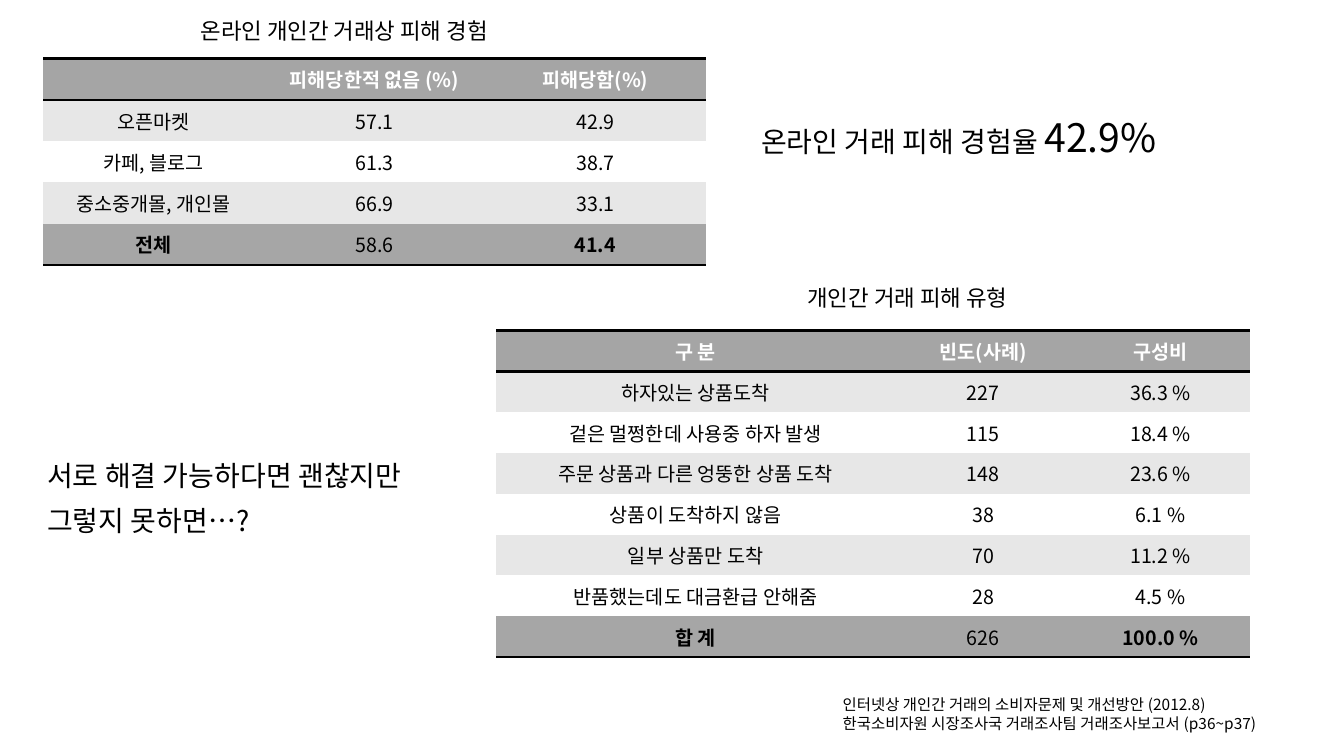
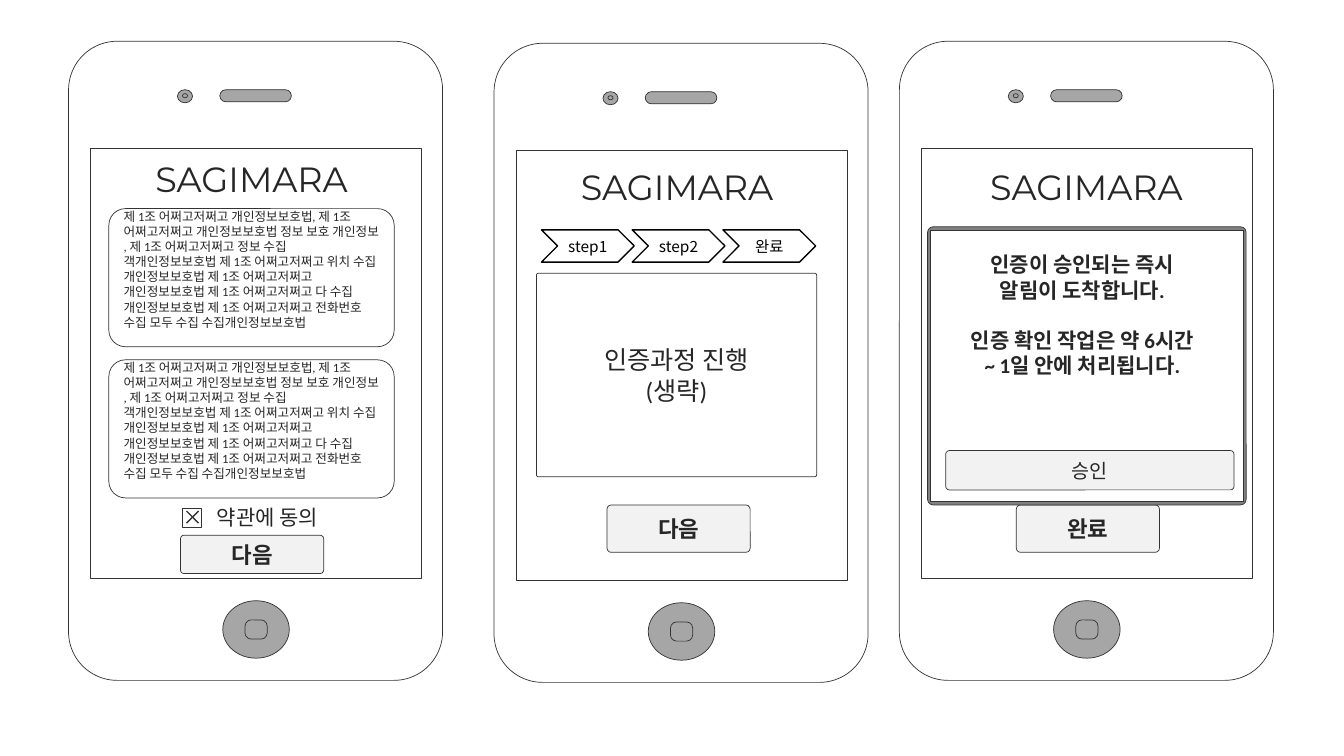
from lxml import etree
from pptx import Presentation
from pptx.dml import color as dml
from pptx.enum import shapes as kinds, text as txt
from pptx.oxml import ns
from pptx.util import Inches, Pt

# Shared style
NOTO, CALIBRI, MONTSERRAT = "Noto Sans CJK KR", "Calibri", "Montserrat"
BLACK, WHITE, INK, OUTLINE = "000000", "FFFFFF", "262626", "333333"
HEADER, TOTAL, STRIPE, METAL = "A5A5A5", "A6A6A6", "E7E7E7", "A6A6A6"
BUTTON, FRAME = "F2F2F2", "808080"
NO_STYLE = "{2D5ABB26-0587-4C30-8999-92F81FD0307C}"
ROUND = kinds.MSO_SHAPE.ROUNDED_RECTANGLE
RECT = kinds.MSO_SHAPE.RECTANGLE
OVAL = kinds.MSO_SHAPE.OVAL
CHEVRON = kinds.MSO_SHAPE.CHEVRON
LEFT, CENTER = txt.PP_ALIGN.LEFT, txt.PP_ALIGN.CENTER
TOP, MIDDLE, BOTTOM = (txt.MSO_ANCHOR.TOP, txt.MSO_ANCHOR.MIDDLE,
                       txt.MSO_ANCHOR.BOTTOM)
DEFAULT_INSETS = (0.1, 0.05, 0.1, 0.05)
APP_INSETS = (0.08, 0.04, 0.08, 0.04)

# Content: survey slide
TABLES = [
    {"at": (0.43, 0.58), "cols": (2.19, 2.19, 2.19), "row": 0.41, "rows": [
        ("", "피해당한적 없음 (%)", "피해당함(%)"),
        ("오픈마켓", "57.1", "42.9"),
        ("카페, 블로그", "61.3", "38.7"),
        ("중소중개몰, 개인몰", "66.9", "33.1"),
        ("전체", "58.6", "41.4")]},
    {"at": (4.92, 3.28), "cols": (3.96, 1.74, 1.78), "row": 0.405, "rows": [
        ("구 분", "빈도(사례)", "구성비"),
        ("하자있는 상품도착", "227", "36.3 %"),
        ("겉은 멀쩡한데 사용중 하자 발생", "115", "18.4 %"),
        ("주문 상품과 다른 엉뚱한 상품 도착", "148", "23.6 %"),
        ("상품이 도착하지 않음", "38", "6.1 %"),
        ("일부 상품만 도착", "70", "11.2 %"),
        ("반품했는데도 대금환급 안해줌", "28", "4.5 %"),
        ("합 계", "626", "100.0 %")]},
]
CAPTIONS = [
    ((1.89, 0.12, 3.19, 0.37), 16, ["온라인 개인간 거래상 피해 경험"]),
    ((7.91, 2.77, 2.28, 0.37), 16, ["개인간 거래 피해 유형"]),
    ((8.26, 6.85, 4.5, 0.47), 11, [
        "인터넷상 개인간 거래의 소비자문제 및 개선방안 (2012.8)",
        "한국소비자원 시장조사국 거래조사팀 거래조사보고서 (p36~p37)"]),
]
MESSAGES = [
    ((7.45, 1.13, 5.5, 1.22), [[("온라인 거래 피해 경험율 ", 20), ("42.9%", 28)]]),
    ((0.37, 4.54, 5.5, 1.22), ["서로 해결 가능하다면 괜찮지만", "그렇지 못하면…?"]),
]

# Content: app screens
APP = "SAGIMARA"
PHONES = [(0.68, 0.41), (4.9, 0.43), (8.92, 0.41)]
PHONE_PARTS = [  # preset, place inside the phone, corner, fill
    (ROUND, (0, 0, 3.71, 6.34), 0.13, None),
    (RECT, (0.22, 1.06, 3.28, 4.27), None, WHITE),
    (ROUND, (1.5, 0.48, 0.71, 0.12), 0.5, METAL),
    (OVAL, (1.08, 0.48, 0.15, 0.13), None, METAL),
    (OVAL, (1.13, 0.52, 0.05, 0.04), None, METAL),
    (OVAL, (1.53, 5.55, 0.66, 0.57), None, METAL),
    (ROUND, (1.75, 5.74, 0.22, 0.19), 0.32, METAL),
]
APP_NAMES = [(1.3, 1.52), (5.52, 1.6), (9.58, 1.6)]
BUTTONS = [
    ((1.79, 5.31, 1.42, 0.38), "다음"),
    ((6.02, 5.01, 1.42, 0.47), "다음"),
    ((10.08, 5.01, 1.42, 0.47), "완료"),
]
TERMS = ("제 1조 어쩌고저쩌고 개인정보보호법, 제 1조 어쩌고저쩌고 개인정보보호법 정보 보호 "
         "개인정보 , 제 1조 어쩌고저쩌고 정보 수집 객개인정보보호법 제 1조 어쩌고저쩌고 위치 "
         "수집 개인정보보호법 제 1조 어쩌고저쩌고 개인정보보호법 제 1조 어쩌고저쩌고 다 수집 "
         "개인정보보호법 제 1조 어쩌고저쩌고 전화번호 수집 모두 수집 수집개인정보보호법")
TERMS_TOPS = (2.07, 3.57)
AGREE = "약관에 동의"
STEPS = ["step1", "step2", "완료"]
PROCESS = ["인증과정 진행", "(생략)"]
NOTICE = ["인증이 승인되는 즉시 알림이 도착합니다.",
          "인증 확인 작업은 약 6시간 ~ 1일 안에 처리됩니다."]
APPROVE = "승인"


def rgb(value):
    return dml.RGBColor.from_string(value)


def inches(values):
    return [Inches(value) for value in values]


def write(frame, paragraphs, size, font=NOTO, color=BLACK, bold=False,
          align=LEFT, anchor=TOP, insets=DEFAULT_INSETS, wrap=True,
          gap=0, spacing=None):
    """Fill a frame; a paragraph is a string or a list of (text, size)."""
    frame.word_wrap = wrap
    frame.vertical_anchor = anchor
    (frame.margin_left, frame.margin_top,
     frame.margin_right, frame.margin_bottom) = inches(insets)
    for index, content in enumerate(paragraphs):
        paragraph = frame.add_paragraph() if index else frame.paragraphs[0]
        paragraph.alignment = align
        if spacing:
            paragraph.line_spacing = spacing
        if index and gap:
            paragraph.space_before = Pt(gap)
        runs = [(content, size)] if isinstance(content, str) else content
        for words, points in runs:
            run = paragraph.add_run()
            run.text = words
            run.font.size = Pt(points)
            run.font.bold = bold
            run.font.name = font
            run.font.color.rgb = rgb(color)
            east_asian = etree.SubElement(run.font._element, ns.qn("a:ea"))
            east_asian.set("typeface", font)


def label(parent, at, paragraphs, size, **style):
    box = parent.shapes.add_textbox(*inches(at))
    write(box.text_frame, paragraphs, size, **style)


def draw(parent, preset, at, fill=WHITE, corner=None, line=OUTLINE, width=0.5):
    shape = parent.shapes.add_shape(preset, *inches(at))
    shape.shadow.inherit = False
    if corner is not None:
        shape.adjustments[0] = corner
    if fill:
        shape.fill.solid()
        shape.fill.fore_color.rgb = rgb(fill)
    else:
        shape.fill.background()
    shape.line.color.rgb = rgb(line)
    shape.line.width = Pt(width)
    return shape


def stroke(parent, start, end):
    line = parent.shapes.add_connector(
        kinds.MSO_CONNECTOR.STRAIGHT, *inches(start + end))
    line.line.color.rgb = rgb(OUTLINE)
    line.line.width = Pt(1)
    etree.SubElement(line._element.spPr, ns.qn("a:effectLst"))


def border(cell, sides):
    """Add 2 pt black rules; borders precede the fill in a cell."""
    properties = cell._tc.get_or_add_tcPr()
    for index, side in enumerate(sides):
        rule = etree.Element(ns.qn("a:ln" + side), w=str(Pt(2)))
        fill = etree.SubElement(rule, ns.qn("a:solidFill"))
        etree.SubElement(fill, ns.qn("a:srgbClr"), val=BLACK)
        properties.insert(index, rule)


def data_table(slide, at, cols, row, rows):
    size = (sum(cols), row * len(rows))
    table = slide.shapes.add_table(
        len(rows), len(cols), *inches(at + size)).table
    table._tbl.tblPr.find(ns.qn("a:tableStyleId")).text = NO_STYLE
    table.first_row = table.horz_banding = False
    for column, width in zip(table.columns, cols):
        column.width = Inches(width)
    last = len(rows) - 1
    for r, values in enumerate(rows):
        table.rows[r].height = Inches(row)
        if r == 0:
            fill, sides = HEADER, "TB"
        elif r == last:
            fill, sides = TOTAL, "B"
        else:
            fill, sides = (STRIPE if r % 2 else WHITE), ""
        for c, value in enumerate(values):
            cell = table.cell(r, c)
            cell.fill.solid()
            cell.fill.fore_color.rgb = rgb(fill)
            border(cell, sides)
            cell.vertical_anchor = MIDDLE
            if value:
                write(cell.text_frame, [value], 14, align=CENTER,
                      anchor=None, color=BLACK if r else WHITE,
                      bold=r == 0 or (r == last and c != 1))


def button(parent, at, words, size=16, bold=True):
    shape = draw(parent, ROUND, at, BUTTON, 0.09)
    write(shape.text_frame, [words], size, CALIBRI, INK, bold, CENTER, MIDDLE)


def survey_slide(slide):
    for table in TABLES:
        data_table(slide, **table)
    for at, paragraphs in MESSAGES:
        label(slide, at, paragraphs, 20, gap=10, spacing=0.9)
    for at, size, paragraphs in CAPTIONS:
        label(slide, at, paragraphs, size, wrap=False)


def screens_slide(slide):
    # Phones with their app name
    for left, top in PHONES:
        phone = slide.shapes.add_group_shape()
        for preset, (x, y, w, h), corner, fill in PHONE_PARTS:
            draw(phone, preset, (left + x, top + y, w, h), fill, corner)
    for left, top in APP_NAMES:
        label(slide, (left, top, 2.39, 0.49), [APP], 25, font=MONTSERRAT,
              color=INK, align=CENTER, insets=APP_INSETS)
    for at, words in BUTTONS:
        button(slide, at, words)

    # First phone: terms and consent
    for top in TERMS_TOPS:
        terms = draw(slide, ROUND, (1.08, top, 2.83, 1.37), corner=0.12)
        write(terms.text_frame, [TERMS], 9, CALIBRI, INK, anchor=BOTTOM,
              insets=(0.1, 0, 0.1, 0.12))
    checkbox = slide.shapes.add_group_shape()
    draw(checkbox, RECT, (1.81, 5.04, 0.19, 0.19), width=0.75)
    stroke(checkbox, (1.85, 5.07), (1.97, 5.19))
    stroke(checkbox, (1.97, 5.07), (1.85, 5.19))
    label(slide, (2.1, 4.99, 1.16, 0.28), [AGREE], 15, font=CALIBRI,
          color=INK, anchor=MIDDLE, insets=(0.05, 0.01, 0.01, 0.01), wrap=False)

    # Second phone: steps and process
    process = draw(slide, ROUND, (5.32, 2.71, 2.78, 2.02), corner=0.01)
    write(process.text_frame, PROCESS, 18, CALIBRI, INK,
          align=CENTER, anchor=MIDDLE)
    for index, step in enumerate(STEPS):
        at = (5.37 + index * 0.9, 2.28, 0.92, 0.32)
        chevron = draw(slide, CHEVRON, at, line=BLACK, width=1)
        write(chevron.text_frame, [step], 11, align=CENTER, anchor=MIDDLE,
              insets=(0, 0, 0, 0))

    # Third phone: notice window
    window = slide.shapes.add_group_shape()
    draw(window, ROUND, (9.2, 2.25, 3.16, 2.76), FRAME, 0.02)
    draw(window, RECT, (9.23, 2.29, 3.1, 2.68))
    label(window, (9.5, 2.46, 2.47, 1.9), NOTICE, 15, font=CALIBRI, color=INK,
          bold=True, align=CENTER, insets=APP_INSETS, gap=18)
    button(window, (9.38, 4.47, 2.86, 0.39), APPROVE, 14, False)


def main():
    deck = Presentation()
    deck.slide_width, deck.slide_height = Inches(13.33), Inches(7.5)
    blank = deck.slide_layouts[6]
    for build in (survey_slide, screens_slide):
        build(deck.slides.add_slide(blank))
    deck.save("out.pptx")


if __name__ == "__main__":
    main()
